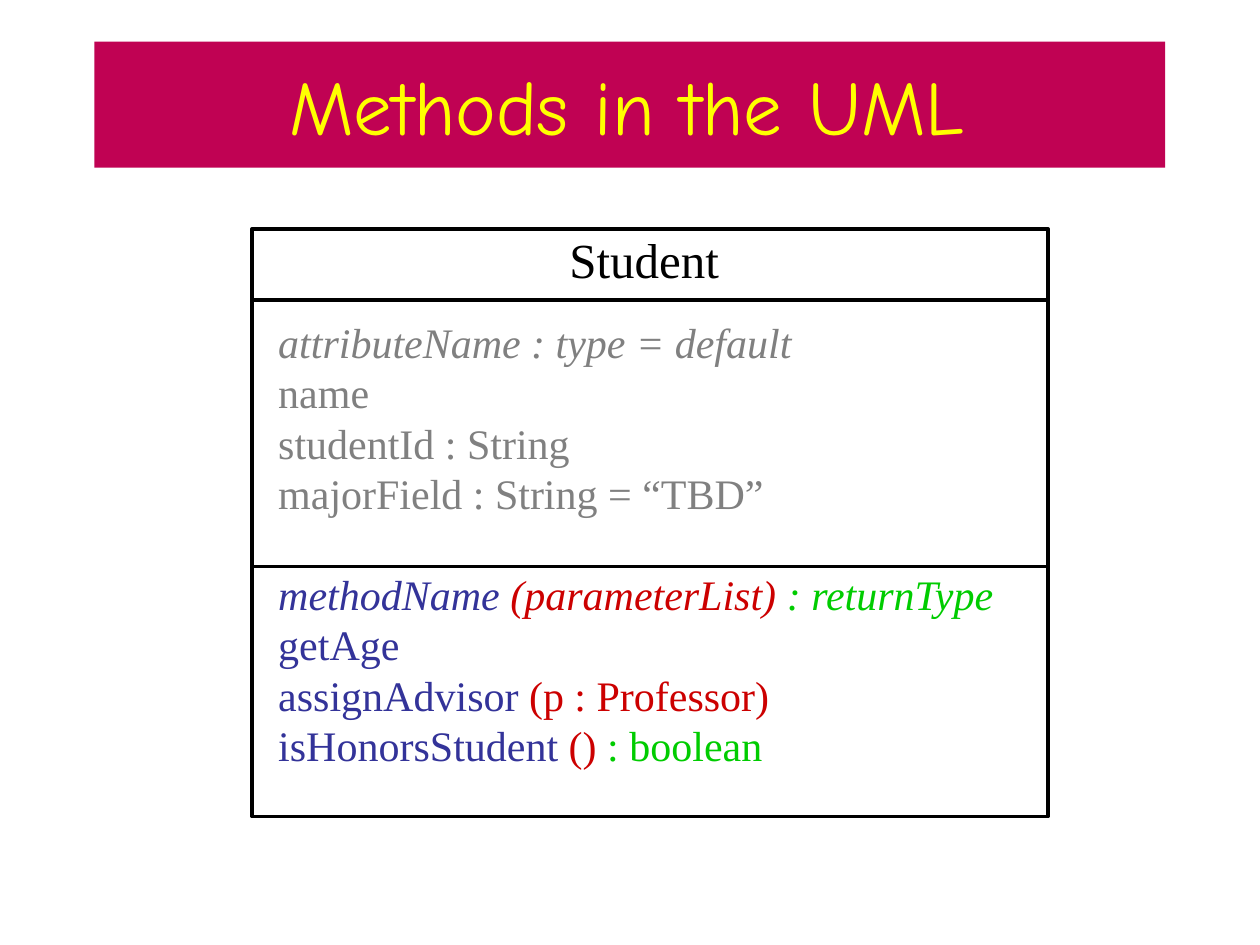
from pptx import Presentation
from pptx.dml.color import RGBColor
from pptx.enum.shapes import MSO_CONNECTOR, MSO_SHAPE
from pptx.enum.text import MSO_ANCHOR, MSO_AUTO_SIZE, PP_ALIGN
from pptx.oxml.ns import qn
from pptx.util import Cm, Pt
from lxml import etree

RECTANGLE = MSO_SHAPE.RECTANGLE
STRAIGHT = MSO_CONNECTOR.STRAIGHT
TOP, MIDDLE = MSO_ANCHOR.TOP, MSO_ANCHOR.MIDDLE
CENTER = PP_ALIGN.CENTER
NO_AUTOFIT = MSO_AUTO_SIZE.NONE

WHITE = RGBColor(0xFF, 0xFF, 0xFF)
BLACK = RGBColor(0x00, 0x00, 0x00)
CRIMSON = RGBColor(0xC0, 0x02, 0x53)
YELLOW = RGBColor(0xFF, 0xFF, 0x00)
GRAY = RGBColor(0x80, 0x80, 0x80)
BLUE = RGBColor(0x33, 0x33, 0x99)
RED = RGBColor(0xCC, 0x00, 0x00)
GREEN = RGBColor(0x00, 0xCC, 0x00)

ATTRIBUTES = [
    [("attributeName : type = default", GRAY)],
    [("name", GRAY)],
    [("studentId : String", GRAY)],
    [("majorField : String = “TBD”", GRAY)],
]
METHODS = [
    [("methodName ", BLUE), ("(parameterList) ", RED), (": returnType", GREEN)],
    [("getAge", BLUE)],
    [("assignAdvisor ", BLUE), ("(p : Professor)", RED)],
    [("isHonorsStudent ", BLUE), ("() ", RED), (": boolean", GREEN)],
]


class UmlSlide:
    title_font = "Comic Neue"
    body_font = "Times New Roman"
    line_width = Pt(2)
    line_pitch = 1.2

    def __init__(self, presentation):
        self.slide = presentation.slides.add_slide(presentation.slide_layouts[5])

    def frame(self, shape, anchor, margins):
        text_frame = shape.text_frame
        text_frame.auto_size = NO_AUTOFIT
        text_frame.word_wrap = True
        text_frame.vertical_anchor = anchor
        (text_frame.margin_left, text_frame.margin_top,
         text_frame.margin_right, text_frame.margin_bottom) = map(Cm, margins)
        return text_frame

    def format_run(self, run, name, size, color, italic=False):
        font = run.font
        font.name = name
        font.size = Pt(size)
        font.color.rgb = color
        font.italic = italic

    def title(self, text, left, top, width, height):
        shape = self.slide.shapes.title
        shape.left, shape.top = Cm(left), Cm(top)
        shape.width, shape.height = Cm(width), Cm(height)
        shape.fill.solid()
        shape.fill.fore_color.rgb = CRIMSON
        text_frame = self.frame(shape, MIDDLE, (0.25, 0.15, 0.36, 0.15))
        text_frame.text = text
        paragraph = text_frame.paragraphs[0]
        paragraph.alignment = CENTER
        self.format_run(paragraph.runs[0], self.title_font, 44, YELLOW)

    def class_box(self, left, top, width, height, dividers):
        shape = self.slide.shapes.add_shape(
            RECTANGLE, Cm(left), Cm(top), Cm(width), Cm(height))
        shape.shadow.inherit = False
        shape.fill.solid()
        shape.fill.fore_color.rgb = WHITE
        shape.line.color.rgb = BLACK
        shape.line.width = self.line_width
        for y in dividers:
            self.divider(left, left + width, y)

    def divider(self, start, end, y):
        connector = self.slide.shapes.add_connector(
            STRAIGHT, Cm(start), Cm(y), Cm(end), Cm(y))
        connector.line.color.rgb = BLACK
        connector.line.width = self.line_width
        etree.SubElement(connector._element.spPr, qn("a:effectLst"))

    def text(self, groups, size, left, top, width, height, italic_heads=False):
        shape = self.slide.shapes.add_textbox(
            Cm(left), Cm(top), Cm(width), Cm(height))
        text_frame = self.frame(shape, TOP, (0.1, 0, 0.1, 0))
        pitch = Pt(size * self.line_pitch)
        paragraph = text_frame.paragraphs[0]
        for group_index, group in enumerate(groups):
            for line_index, line in enumerate(group):
                if group_index or line_index:
                    paragraph = text_frame.add_paragraph()
                paragraph.line_spacing = pitch
                if group_index and not line_index:
                    paragraph.space_before = pitch
                for words, color in line:
                    run = paragraph.add_run()
                    run.text = words
                    self.format_run(run, self.body_font, size, color,
                                    italic_heads and line_index == 0)


def main():
    presentation = Presentation()
    presentation.slide_width, presentation.slide_height = Cm(25.4), Cm(19.05)
    slide = UmlSlide(presentation)
    slide.title("Methods in the UML", 1.9, 0.84, 21.59, 2.54)
    slide.class_box(5.08, 4.62, 16.05, 11.84, dividers=(6.05, 11.42))
    slide.text([[[("Student", BLACK)]]], 28, 11.38, 4.62, 3.5, 1.2)
    slide.text([ATTRIBUTES, METHODS], 24, 5.51, 6.38, 15.24, 9.14,
               italic_heads=True)
    presentation.save("out.pptx")


if __name__ == "__main__":
    main()
